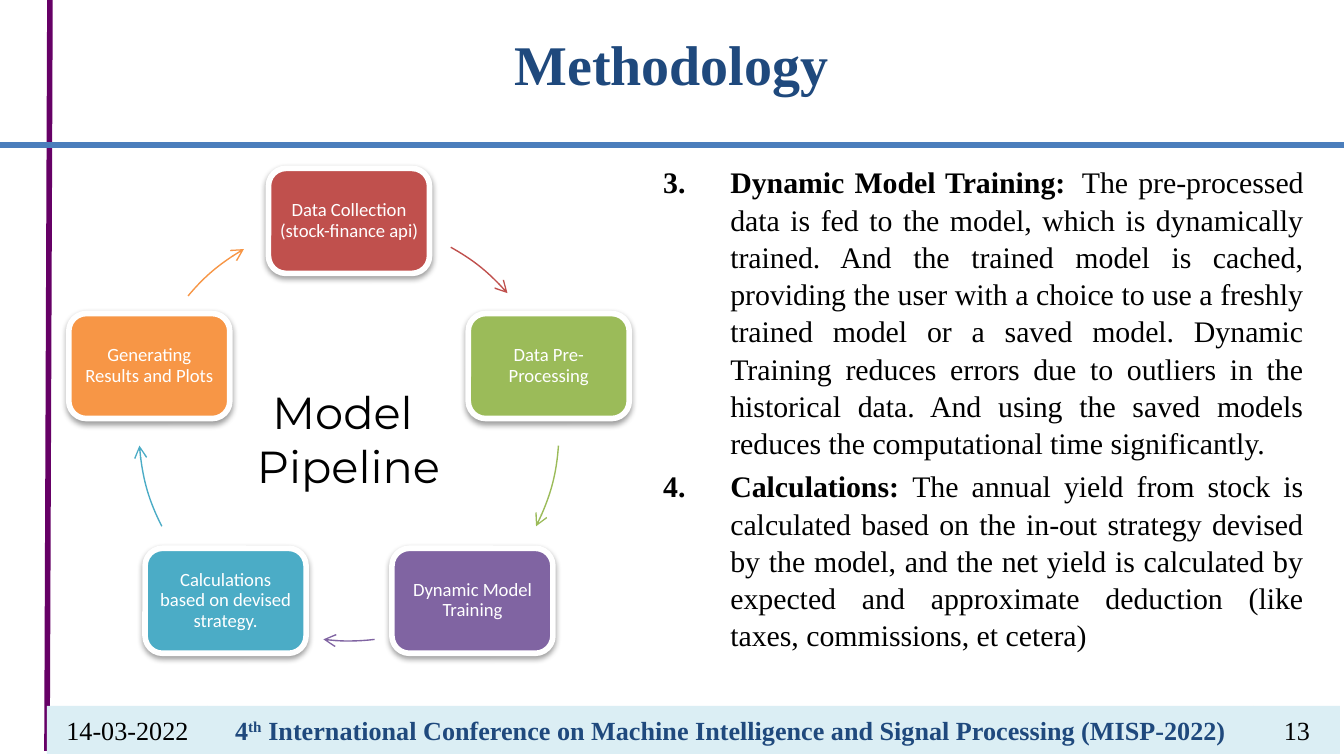
from pptx import Presentation
from pptx.dml.color import RGBColor
from pptx.enum.shapes import MSO_CONNECTOR as CONNECTOR, MSO_SHAPE as SHAPE
from pptx.enum.text import MSO_ANCHOR as ANCHOR, PP_ALIGN as ALIGN
from pptx.oxml.ns import qn
from pptx.util import Pt
from lxml.etree import SubElement
from math import cos, radians, sin

WHITE = RGBColor(0xFF, 0xFF, 0xFF)
BLACK = RGBColor(0, 0, 0)
NAVY = RGBColor(0x1F, 0x49, 0x7D)
PURPLE = RGBColor(0x66, 0x00, 0x66)
BLUE = RGBColor(0x4B, 0x7E, 0xBC)
PALE_BLUE = RGBColor(0xDB, 0xEE, 0xF4)
RED = RGBColor(0xC0, 0x50, 0x4D)
GREEN = RGBColor(0x9B, 0xBB, 0x59)
VIOLET = RGBColor(0x80, 0x64, 0xA2)
TEAL = RGBColor(0x4B, 0xAC, 0xC6)
ORANGE = RGBColor(0xF7, 0x96, 0x46)

SERIF = "Times New Roman"
TITLE = "Methodology"
RULES = [((50, -5), (47, 751), PURPLE), ((0, 145), (1344, 145), BLUE)]
FOOTER = [
    (47, 161, [("14-03-2022", False)], BLACK, False),
    (208, 1046, [
        ("4", False), ("th", True),
        (" International Conference on Machine Intelligence and Signal Processing (MISP-2022)", False),
    ], NAVY, True),
    (1254, 86, [("13", False)], BLACK, False),
]
STEPS = [
    ("Dynamic Model Training:\t ",
     "The pre-processed data is fed to the model, which is dynamically trained. "
     "And the trained model is cached, providing the user with a choice to use a "
     "freshly trained model or a saved model. Dynamic Training reduces errors due "
     "to outliers in the historical data. And using the saved models reduces the "
     "computational time significantly."),
    ("Calculations: ",
     "The annual yield from stock is calculated based on the in-out strategy devised "
     "by the model, and the net yield is calculated by expected and approximate "
     "deduction (like taxes, commissions, et cetera)"),
]
FIRST_STEP = 3
STAGES = [
    ("Data Collection (stock-finance api)", RED, 299, 319),
    ("Data Pre-Processing", GREEN, 4, 27),
    ("Dynamic Model Training", VIOLET, 83, 97),
    ("Calculations based on devised strategy.", TEAL, 153, 176),
    ("Generating Results and Plots", ORANGE, 220, 240),
]
CYCLE_NAME = ["Model ", "Pipeline"]
CENTER_X, CENTER_Y, RADIUS = 349, 431, 210
STAGE_W, STAGE_H = 161, 105


def px(*lengths):
    return [round(length * 914400 / 134.4) for length in lengths]


def style(paragraph, size, face, color, bold=False, align=ALIGN.CENTER):
    paragraph.alignment = align
    font = paragraph.font
    font.size, font.name, font.bold = Pt(size), face, bold
    font.color.rgb = color


def add_text_frame(*box):
    frame = slide.shapes.add_textbox(*px(*box)).text_frame
    frame.word_wrap = True
    return frame


def add_block(kind, box, fill):
    block = slide.shapes.add_shape(kind, *px(*box))
    block.shadow.inherit = False
    block.fill.solid()
    block.fill.fore_color.rgb = fill
    block.text_frame.word_wrap = True
    return block


def add_soft_shadow(block):
    effects = block._element.spPr.find(qn("a:effectLst"))
    shadow = SubElement(effects, qn("a:outerShdw"), blurRad="40000", dist="20000",
                        dir="5400000", rotWithShape="0")
    tint = SubElement(shadow, qn("a:srgbClr"), val="000000")
    SubElement(tint, qn("a:alpha"), val="38000")


def add_stage(index, label, color, arc_start, arc_end):
    angle = radians(360 / len(STAGES) * index - 90)
    left = CENTER_X + RADIUS * cos(angle) - STAGE_W / 2
    top = CENTER_Y + RADIUS * sin(angle) - STAGE_H / 2
    stage = add_block(SHAPE.ROUNDED_RECTANGLE, (left, top, STAGE_W, STAGE_H), color)
    stage.line.color.rgb = WHITE
    stage.line.width = Pt(3)
    add_soft_shadow(stage)
    frame = stage.text_frame
    frame.vertical_anchor = ANCHOR.MIDDLE
    frame.margin_left = frame.margin_right = px(6)[0]
    frame.margin_top = frame.margin_bottom = px(6)[0]
    paragraph = frame.paragraphs[0]
    paragraph.text = label
    paragraph.line_spacing = 0.9
    style(paragraph, 10, "Calibri", WHITE)

    arc = slide.shapes.add_shape(
        SHAPE.ARC, *px(CENTER_X - RADIUS, CENTER_Y - RADIUS, 2 * RADIUS, 2 * RADIUS))
    arc.shadow.inherit = False
    arc.fill.background()
    arc.adjustments[0] = arc_start * 0.6
    arc.adjustments[1] = arc_end * 0.6
    arc.line.color.rgb = color
    arc.line.width = Pt(0.75)
    SubElement(arc.line._get_or_add_ln(), qn("a:tailEnd"), type="arrow")


prs = Presentation()
prs.slide_width, prs.slide_height = px(1344, 756)
slide = prs.slides.add_slide(prs.slide_layouts[6])

for start, end, color in RULES:
    rule = slide.shapes.add_connector(CONNECTOR.STRAIGHT, *px(*start, *end))
    rule.line.color.rgb = color
    rule.line.width = Pt(3)
    SubElement(rule._element.spPr, qn("a:effectLst"))

title = add_text_frame(335, 23, 673, 82).paragraphs[0]
title.text = TITLE
style(title, 30, SERIF, NAVY, True)

for left, width, pieces, color, bold in FOOTER:
    cell = add_block(SHAPE.RECTANGLE, (left, 706, width, 48), PALE_BLUE)
    cell.line.fill.background()
    paragraph = cell.text_frame.paragraphs[0]
    style(paragraph, 14, SERIF, color, bold)
    for words, raised in pieces:
        run = paragraph.add_run()
        run.text = words
        if raised:
            run.font._element.set("baseline", "30000")

body = add_text_frame(650, 156, 667, 530)
for index, (heading, details) in enumerate(STEPS):
    paragraph = body.paragraphs[0] if index == 0 else body.add_paragraph()
    style(paragraph, 16, SERIF, BLACK, align=ALIGN.JUSTIFY)
    paragraph.space_before = Pt(3.2)
    paragraph.line_spacing = 1.04
    props = paragraph._p.get_or_add_pPr()
    props.set("marL", "457200")
    props.set("indent", "-457200")
    numbering = SubElement(props, qn("a:buAutoNum"), type="arabicPeriod", startAt=str(FIRST_STEP))
    props.find(qn("a:defRPr")).addprevious(numbering)
    for words, bold in ((heading, True), (details, False)):
        run = paragraph.add_run()
        run.text = words
        run.font.bold = bold

for index, stage in enumerate(STAGES):
    add_stage(index, *stage)

cycle_name = add_text_frame(227, 378, 243, 122)
cycle_name.text = "\n".join(CYCLE_NAME)
for paragraph in cycle_name.paragraphs:
    style(paragraph, 24, "Montserrat", BLACK)

prs.save("out.pptx")
